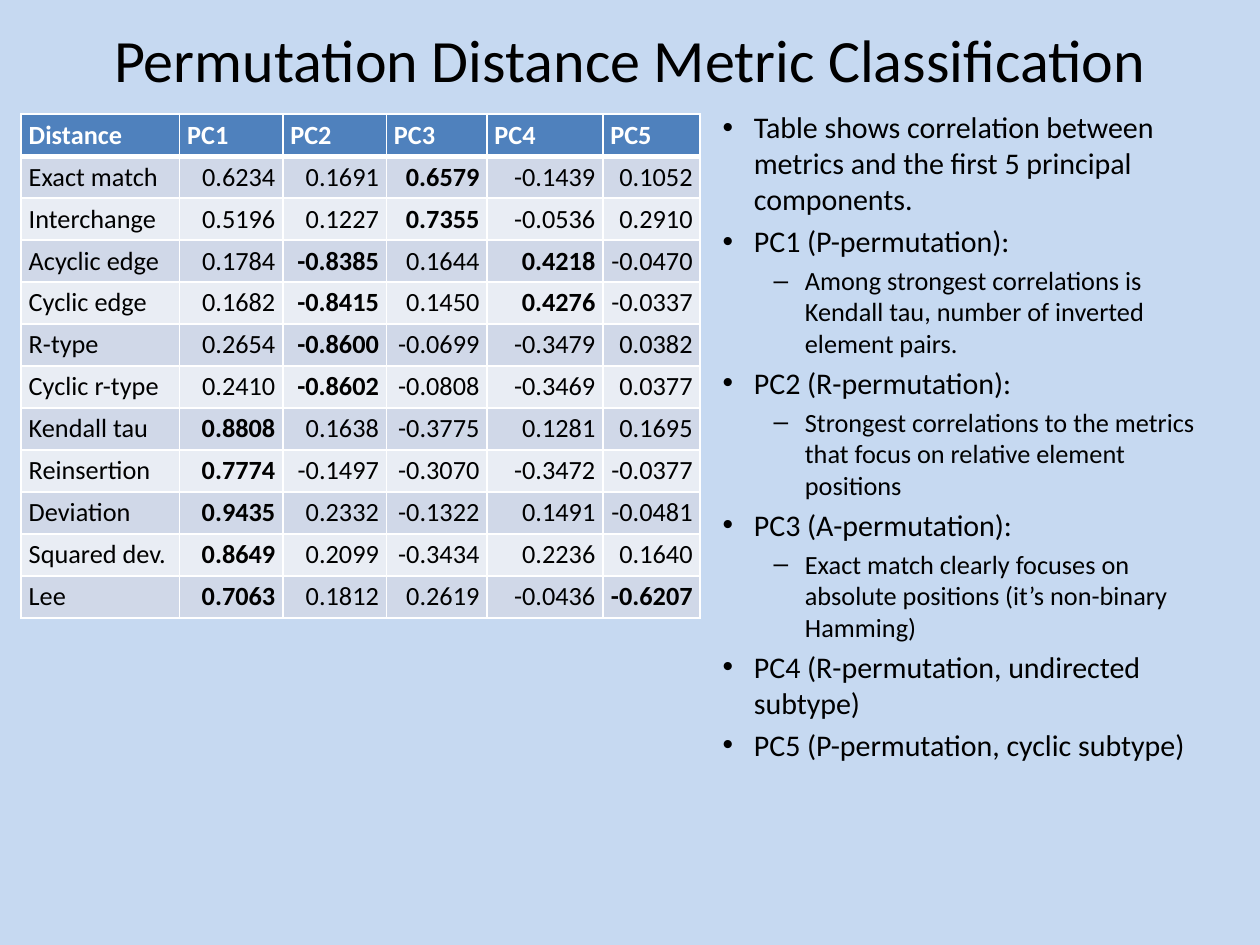
from dataclasses import dataclass

from lxml import etree
from pptx import Presentation
from pptx.dml.color import RGBColor
from pptx.enum import text as t
from pptx.oxml import ns
from pptx.util import Cm, Pt


@dataclass(frozen=True)
class Theme:
    """Colours, font and type sizes of the slide."""
    font: str = "Calibri"
    background: str = "C6D9F1"
    ink: str = "000000"
    white: str = "FFFFFF"
    header: str = "4F81BD"
    bands: tuple = ("D0D8E8", "E9EDF4")
    title: int = 32
    point: int = 16
    small: int = 14


@dataclass(frozen=True)
class Metric:
    """A distance metric and its correlation with each component."""
    name: str
    correlations: tuple


@dataclass(frozen=True)
class Point:
    """One list entry and its outline level."""
    wording: str
    level: int = 0


THEME = Theme()
HEADINGS = ("Distance", "PC1", "PC2", "PC3", "PC4", "PC5")
COLUMN_WIDTHS = (2.98, 1.94, 1.95, 1.89, 2.18, 1.83)
ROW_HEIGHT = 0.79
STRONG = (0.7, 0.4, 0.4, 0.4, 0.4)  # bold from this absolute value, per component
LEVEL_MARGINS = (0.59, 1.55)
METRICS = (
    Metric("Exact match", (0.6234, 0.1691, 0.6579, -0.1439, 0.1052)),
    Metric("Interchange", (0.5196, 0.1227, 0.7355, -0.0536, 0.2910)),
    Metric("Acyclic edge", (0.1784, -0.8385, 0.1644, 0.4218, -0.0470)),
    Metric("Cyclic edge", (0.1682, -0.8415, 0.1450, 0.4276, -0.0337)),
    Metric("R-type", (0.2654, -0.8600, -0.0699, -0.3479, 0.0382)),
    Metric("Cyclic r-type", (0.2410, -0.8602, -0.0808, -0.3469, 0.0377)),
    Metric("Kendall tau", (0.8808, 0.1638, -0.3775, 0.1281, 0.1695)),
    Metric("Reinsertion", (0.7774, -0.1497, -0.3070, -0.3472, -0.0377)),
    Metric("Deviation", (0.9435, 0.2332, -0.1322, 0.1491, -0.0481)),
    Metric("Squared dev.", (0.8649, 0.2099, -0.3434, 0.2236, 0.1640)),
    Metric("Lee", (0.7063, 0.1812, 0.2619, -0.0436, -0.6207)),
)
POINTS = (
    Point("Table shows correlation between metrics and the first 5 principal components."),
    Point("PC1 (P-permutation):"),
    Point("Among strongest correlations is Kendall tau, number of inverted element pairs.", 1),
    Point("PC2 (R-permutation):"),
    Point("Strongest correlations to the metrics that focus on relative element positions", 1),
    Point("PC3 (A-permutation):"),
    Point("Exact match clearly focuses on absolute positions (it’s non-binary Hamming)", 1),
    Point("PC4 (R-permutation, undirected subtype)"),
    Point("PC5 (P-permutation, cyclic subtype)"),
)


def write(paragraph, wording: str, *, size: int, color: str = THEME.ink,
          bold: bool = False, align=None) -> None:
    """Put formatted text into a paragraph."""
    run = paragraph.add_run()
    run.text = wording
    run.font.name = THEME.font
    run.font.size = Pt(size)
    run.font.bold = bold
    run.font.color.rgb = RGBColor.from_string(color)
    paragraph.alignment = align


def place(holder, left: float, top: float, width: float, height: float):
    """Move a placeholder, in centimetres, and return its top-anchored text frame."""
    holder.left, holder.top = Cm(left), Cm(top)
    holder.width, holder.height = Cm(width), Cm(height)
    frame = holder.text_frame
    frame.auto_size = t.MSO_AUTO_SIZE.NONE
    frame.vertical_anchor = t.MSO_ANCHOR.TOP
    frame.word_wrap = True
    frame.margin_left = frame.margin_right = Cm(0.23)
    frame.margin_top = frame.margin_bottom = Cm(0.12)
    return frame


def add_borders(cell, top: int = 1, bottom: int = 1) -> None:
    """Draw white borders round a cell, with widths in points."""
    for side, width in (("L", 1), ("R", 1), ("T", top), ("B", bottom)):
        line = etree.SubElement(cell._tc.get_or_add_tcPr(), ns.qn(f"a:ln{side}"), w=str(Pt(width)))
        paint = etree.SubElement(line, ns.qn("a:solidFill"))
        etree.SubElement(paint, ns.qn("a:srgbClr"), val=THEME.white)


def fill_cell(cell, wording: str, fill: str, *, top: int = 1, bottom: int = 1, **style) -> None:
    """Give a cell its margins, borders, fill and text."""
    cell.margin_left = cell.margin_right = Cm(0.14)
    cell.margin_top = cell.margin_bottom = Cm(0.09)
    add_borders(cell, top, bottom)
    cell.fill.solid()
    cell.fill.fore_color.rgb = RGBColor.from_string(fill)
    write(cell.text_frame.paragraphs[0], wording, size=THEME.small, **style)


def add_correlations(slide) -> None:
    """Add the table of metrics against principal components."""
    rows = len(METRICS) + 1
    table = slide.shapes.add_table(rows, len(HEADINGS), Cm(0.4), Cm(2.15),
                                   Cm(sum(COLUMN_WIDTHS)), Cm(ROW_HEIGHT * rows)).table
    for column, width in zip(table.columns, COLUMN_WIDTHS):
        column.width = Cm(width)
    for row in table.rows:
        row.height = Cm(ROW_HEIGHT)
    for col, heading in enumerate(HEADINGS):
        fill_cell(table.cell(0, col), heading, THEME.header, bottom=3,
                  color=THEME.white, bold=True)
    for row, metric in enumerate(METRICS, start=1):
        band = THEME.bands[(row - 1) % 2]
        top = 3 if row == 1 else 1
        fill_cell(table.cell(row, 0), metric.name, band, top=top)
        for col, (value, limit) in enumerate(zip(metric.correlations, STRONG), start=1):
            fill_cell(table.cell(row, col), f"{value:.4f}", band, top=top,
                      bold=abs(value) >= limit, align=t.PP_ALIGN.RIGHT)


def add_points(frame) -> None:
    """Write the two-level list of findings."""
    for index, point in enumerate(POINTS):
        paragraph = frame.add_paragraph() if index else frame.paragraphs[0]
        paragraph.level = point.level
        properties = paragraph._p.get_or_add_pPr()
        properties.set("marL", str(Cm(LEVEL_MARGINS[point.level])))
        properties.set("indent", str(-Cm(0.59)))
        write(paragraph, point.wording, size=THEME.small if point.level else THEME.point)


def main() -> None:
    """Build and save the slide."""
    deck = Presentation()
    deck.slide_width, deck.slide_height = Cm(23.7), Cm(17.78)
    slide = deck.slides.add_slide(deck.slide_layouts[1])
    slide.background.fill.solid()
    slide.background.fill.fore_color.rgb = RGBColor.from_string(THEME.background)
    title, findings = slide.placeholders
    write(place(title, 1.19, 0.3, 21.33, 2.96).paragraphs[0],
          "Permutation Distance Metric Classification",
          size=THEME.title, align=t.PP_ALIGN.CENTER)
    add_correlations(slide)
    add_points(place(findings, 13.36, 1.93, 9.88, 13.18))
    deck.save("out.pptx")


main()
